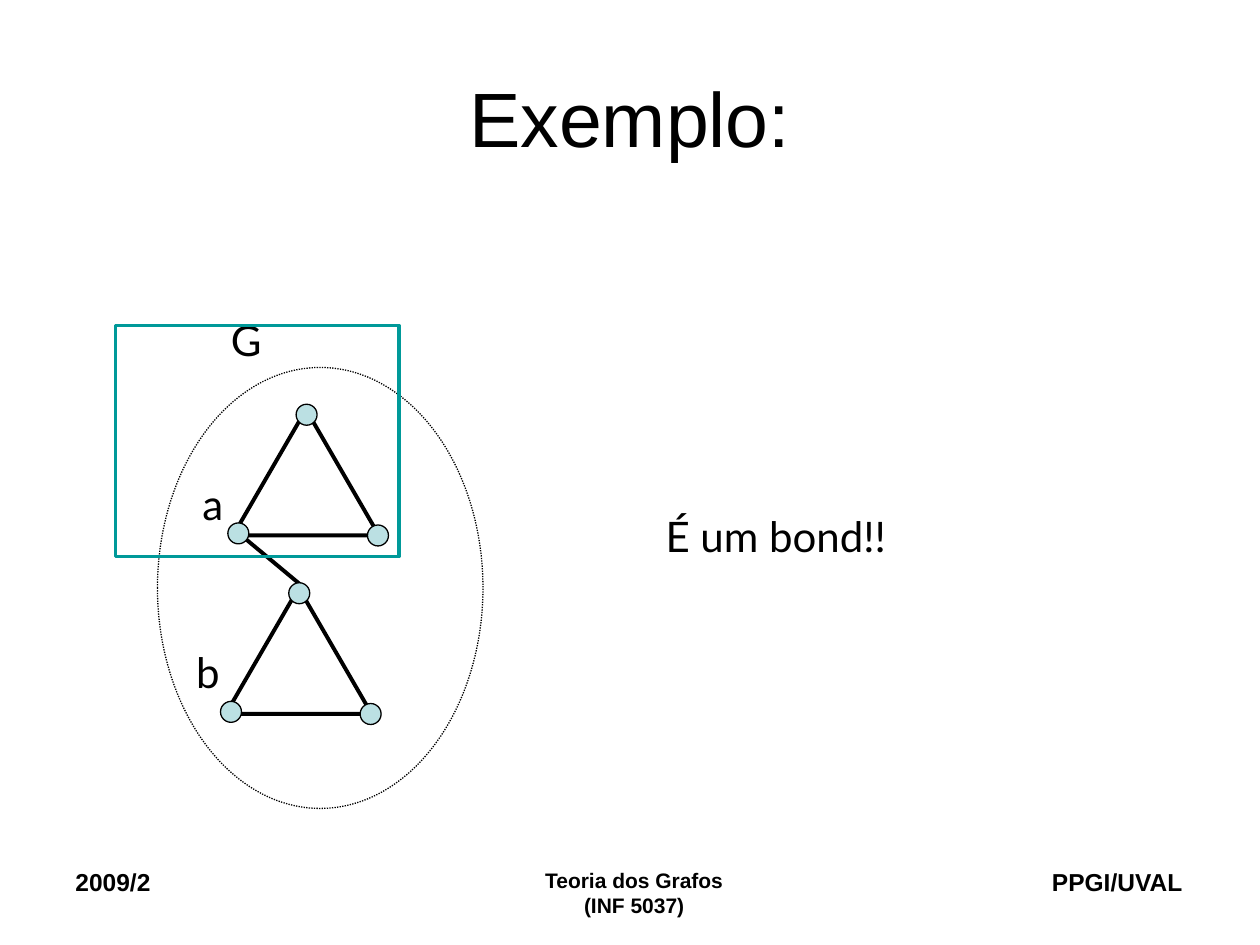
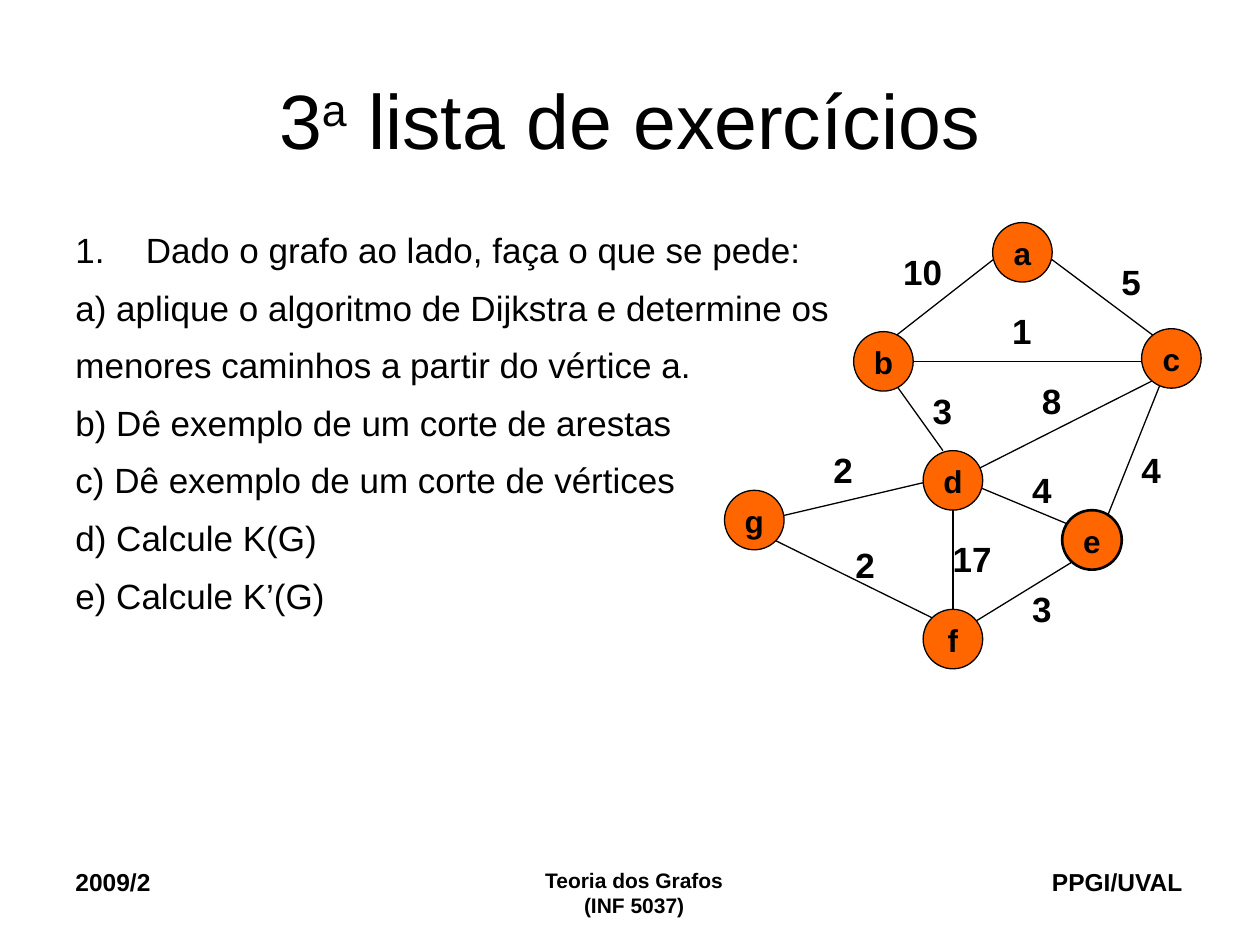
import dataclasses

import pptx
import pptx.dml.color
import pptx.enum.dml
import pptx.enum.shapes
import pptx.enum.text
import pptx.oxml
import pptx.oxml.ns
import pptx.util

ALIGN = pptx.enum.text.PP_ALIGN
ANCHOR = pptx.enum.text.MSO_ANCHOR
SHAPE = pptx.enum.shapes.MSO_SHAPE
DRAWING_NS = pptx.oxml.ns.nsdecls("a")


@dataclasses.dataclass(frozen=True)
class Theme:
    """Colours, fonts, type sizes and line widths of the deck."""
    ink: str = "000000"
    pale_vertex: str = "BBE0E3"
    bright_vertex: str = "FF6600"
    cut: str = "009999"
    font: str = "Arial"
    label_font: str = "Lato"
    title: int = 44
    label: int = 24
    body: int = 20
    vertex: int = 18
    footer: int = 14
    course: int = 12
    thin: float = 0.75
    medium: float = 1.5
    thick: float = 2.25
    loose: float = 1.04
    superscript: str = "30000"


THEME = Theme()


@dataclasses.dataclass(frozen=True)
class Grid:
    """A box in inches divided into columns and rows."""
    left: float
    top: float
    width: float
    height: float
    columns: int
    rows: int

    def point(self, x, y):
        """Return the slide position of a grid point."""
        return (pptx.util.Inches(self.left + x * self.width / self.columns),
                pptx.util.Inches(self.top + y * self.height / self.rows))

    def box(self, x, y, w, h):
        """Return left, top, width and height of a block of cells."""
        return (*self.point(x, y),
                pptx.util.Inches(w * self.width / self.columns),
                pptx.util.Inches(h * self.height / self.rows))

    def region(self, x, y, w, h, columns, rows):
        """Return a grid laid over a block of cells."""
        inches = [length / pptx.util.Inches(1) for length in self.box(x, y, w, h)]
        return Grid(*inches, columns, rows)


PAGE = Grid(0, 0, 10, 7.5, 120, 90)


def rgb(colour):
    """Return a colour from its hexadecimal form."""
    return pptx.dml.color.RGBColor.from_string(colour)


def add_run(paragraph, words, size, font=THEME.font, bold=False, raised=False):
    """Add one run of text to a paragraph."""
    run = paragraph.add_run()
    run.text = words
    run.font.size = pptx.util.Pt(size)
    run.font.name = font
    run.font.bold = bold
    run.font.color.rgb = rgb(THEME.ink)
    if raised:
        run.font._element.set("baseline", THEME.superscript)


def add_text(slide, place, lines, size, align=ALIGN.LEFT, anchor=ANCHOR.TOP,
             spacing=None, wrap=True, **style):
    """Add a text box with one paragraph for each line."""
    frame = slide.shapes.add_textbox(*place).text_frame
    frame.word_wrap = wrap
    frame.vertical_anchor = anchor
    for index, line in enumerate(lines):
        paragraph = frame.add_paragraph() if index else frame.paragraphs[0]
        paragraph.alignment = align
        paragraph.line_spacing = spacing
        if line:
            add_run(paragraph, line, size, **style)
    return frame


def add_outline(slide, kind, place, width=THEME.thin, fill=None, colour=THEME.ink):
    """Add a preset shape with an outline and an optional fill."""
    outline = slide.shapes.add_shape(kind, *place)
    outline.shadow.inherit = False
    if fill:
        outline.fill.solid()
        outline.fill.fore_color.rgb = rgb(fill)
    else:
        outline.fill.background()
    outline.line.color.rgb = rgb(colour)
    outline.line.width = pptx.util.Pt(width)
    return outline


def add_edge(slide, grid, start, end, width=THEME.thin):
    """Join two grid points with a straight line."""
    edge = slide.shapes.add_connector(
        pptx.enum.shapes.MSO_CONNECTOR.STRAIGHT, *grid.point(*start), *grid.point(*end))
    edge.line.color.rgb = rgb(THEME.ink)
    edge.line.width = pptx.util.Pt(width)
    edge._element.spPr.append(pptx.oxml.parse_xml(f"<a:effectLst {DRAWING_NS}/>"))


def add_footer(slide, grid):
    """Place term, course and department along the foot of the slide."""
    add_text(slide, grid.box(0, 0, 28, 6), ["2009/2"], THEME.footer, bold=True)
    add_text(slide, grid.box(30.4, 0, 48, 6), ["Teoria dos Grafos", "(INF 5037)"],
             THEME.course, ALIGN.CENTER, bold=True)
    add_text(slide, grid.box(79.8, 0, 28, 6), ["PPGI/UVAL"], THEME.footer,
             ALIGN.RIGHT, bold=True)


def add_title(slide, grid, parts, spacing=None):
    """Place the centred title, with its raised parts."""
    frame = add_text(slide, grid.box(0, 0, grid.columns, grid.rows), [""], THEME.title,
                     ALIGN.CENTER, ANCHOR.MIDDLE, spacing)
    for words, raised in parts:
        add_run(frame.paragraphs[0], words, THEME.title, raised=raised)


def start_slide(deck, title, spacing=None):
    """Add a blank slide with the shared title and footer."""
    slide = deck.slides.add_slide(deck.slide_layouts[6])
    add_footer(slide, PAGE.region(6, 82, 108, 7, 108, 7))
    add_title(slide, PAGE.region(6, 3.6, 108, 15, 108, 15), title, spacing)
    return slide


def add_triangle(slide, grid, x, y):
    """Draw a three-vertex cycle with its top left corner at a grid point."""
    add_outline(slide, SHAPE.ISOSCELES_TRIANGLE, grid.box(x, y, 13.9, 12), THEME.thick)
    for across, down in [(6, -0.5), (-0.5, 10.8), (12.8, 11)]:
        add_outline(slide, SHAPE.OVAL, grid.box(x + across, y + down, 2, 2),
                    fill=THEME.pale_vertex)


def add_bond_graph(slide, grid):
    """Draw graph G, its bridge and the cut around one component."""
    add_edge(slide, grid, (12, 20), (18, 25), THEME.thick)
    add_triangle(slide, grid, 11.2, 8)
    add_triangle(slide, grid, 10.5, 25)
    boundary = add_outline(slide, SHAPE.OVAL, grid.box(4, 4, 31, 42))
    boundary.line.dash_style = pptx.enum.dml.MSO_LINE.ROUND_DOT
    for name, x, y in [("G", 9.8, -1.6), ("b", 6.5, 30), ("a", 7.1, 14)]:
        add_text(slide, grid.box(x, y, 5, 6), [name], THEME.label, wrap=False,
                 font=THEME.label_font)
    add_outline(slide, SHAPE.RECTANGLE, grid.box(0, 0, 27, 22), THEME.thick,
                colour=THEME.cut)


def add_weighted_graph(slide, grid):
    """Draw the weighted graph of the exercise."""
    edges = [
        ((16.5, 12), (28, 3), "10", (16, 2)),
        ((32, 3), (44, 12), "5", (37, 3)),
        ((17, 14), (44, 14), "1", (26, 8)),
        ((17, 16), (22, 23), "3", (18, 16)),
        ((25.6, 24.8), (43, 16), "8", (29, 15)),
        ((44, 16), (38, 31), "4", (39, 22)),
        ((23, 27), (23, 40), "17", (21, 31)),
        ((24, 41), (37, 33), "3", (28, 36)),
        ((24, 26), (36, 31), "4", (28, 24)),
        ((21, 26), (4, 30), "2", (8, 22)),
        ((5.2, 32.1), (21, 39.9), "2", (10.2, 31.6)),
    ]
    vertices = {"a": (27, 0), "b": (13, 11), "c": (42, 10.7), "d": (20, 23),
                "f": (20, 39), "e": (34, 29), "g": (0, 27)}
    for start, end, _, _ in edges:
        add_edge(slide, grid, start, end)
    for name, corner in vertices.items():
        width = THEME.medium if name == "e" else THEME.thin
        vertex = add_outline(slide, SHAPE.OVAL, grid.box(*corner, 6, 6), width,
                             THEME.bright_vertex)
        frame = vertex.text_frame
        frame.word_wrap = False
        frame.vertical_anchor = ANCHOR.MIDDLE
        letter = frame.paragraphs[0]
        letter.alignment = ALIGN.CENTER
        letter.line_spacing = THEME.loose
        add_run(letter, name, THEME.vertex, bold=True)
    for _, _, weight, corner in edges:
        add_text(slide, grid.box(*corner, 7.9, 5.7), [weight], THEME.body,
                 ALIGN.CENTER, spacing=THEME.loose, bold=True)


def add_questions(slide, grid):
    """Place the numbered statement and its items."""
    questions = [
        "Dado o grafo ao lado, faça o que se pede:",
        "a) aplique o algoritmo de Dijkstra e determine os",
        "menores caminhos a partir do vértice a.",
        "b) Dê exemplo de um corte de arestas",
        "c) Dê exemplo de um corte de vértices",
        "d) Calcule K(G)",
        "e) Calcule K’(G)",
    ]
    frame = add_text(slide, grid.box(0, 0, grid.columns, grid.rows), questions,
                     THEME.body, spacing=THEME.loose)
    hanging = pptx.util.Inches(0.56)
    for index, paragraph in enumerate(frame.paragraphs):
        paragraph.space_before = pptx.util.Pt(8)
        properties = paragraph._p.get_or_add_pPr()
        properties.set("marL", str(hanging))
        properties.set("indent", str(-hanging))
        bullet = "buNone" if index else 'buAutoNum type="arabicPeriod"'
        tag = bullet.split()[0]
        attributes = bullet[len(tag):]
        properties.append(pptx.oxml.parse_xml(f"<a:{tag} {DRAWING_NS}{attributes}/>"))


def build_example(deck):
    """Build the slide with the example of a bond."""
    slide = start_slide(deck, [("Exemplo:", False)])
    add_bond_graph(slide, PAGE.region(11, 31, 35, 46, 35, 46))
    add_text(slide, PAGE.box(62.2, 48, 24.8, 6), ["É um bond!!"], THEME.label,
             wrap=False, font=THEME.label_font)


def build_exercises(deck):
    """Build the slide with the third list of exercises."""
    title = [("3", False), ("a", True), (" lista de exercícios", False)]
    slide = start_slide(deck, title, THEME.loose)
    add_questions(slide, PAGE.region(6, 21, 108, 59.4, 108, 60))
    add_weighted_graph(slide, PAGE.region(69, 21.2, 45.4, 42.5, 48, 45))


def main():
    """Build and save the deck."""
    deck = pptx.Presentation()
    deck.slide_width = pptx.util.Inches(PAGE.width)
    deck.slide_height = pptx.util.Inches(PAGE.height)
    build_example(deck)
    build_exercises(deck)
    deck.save("out.pptx")


if __name__ == "__main__":
    main()
